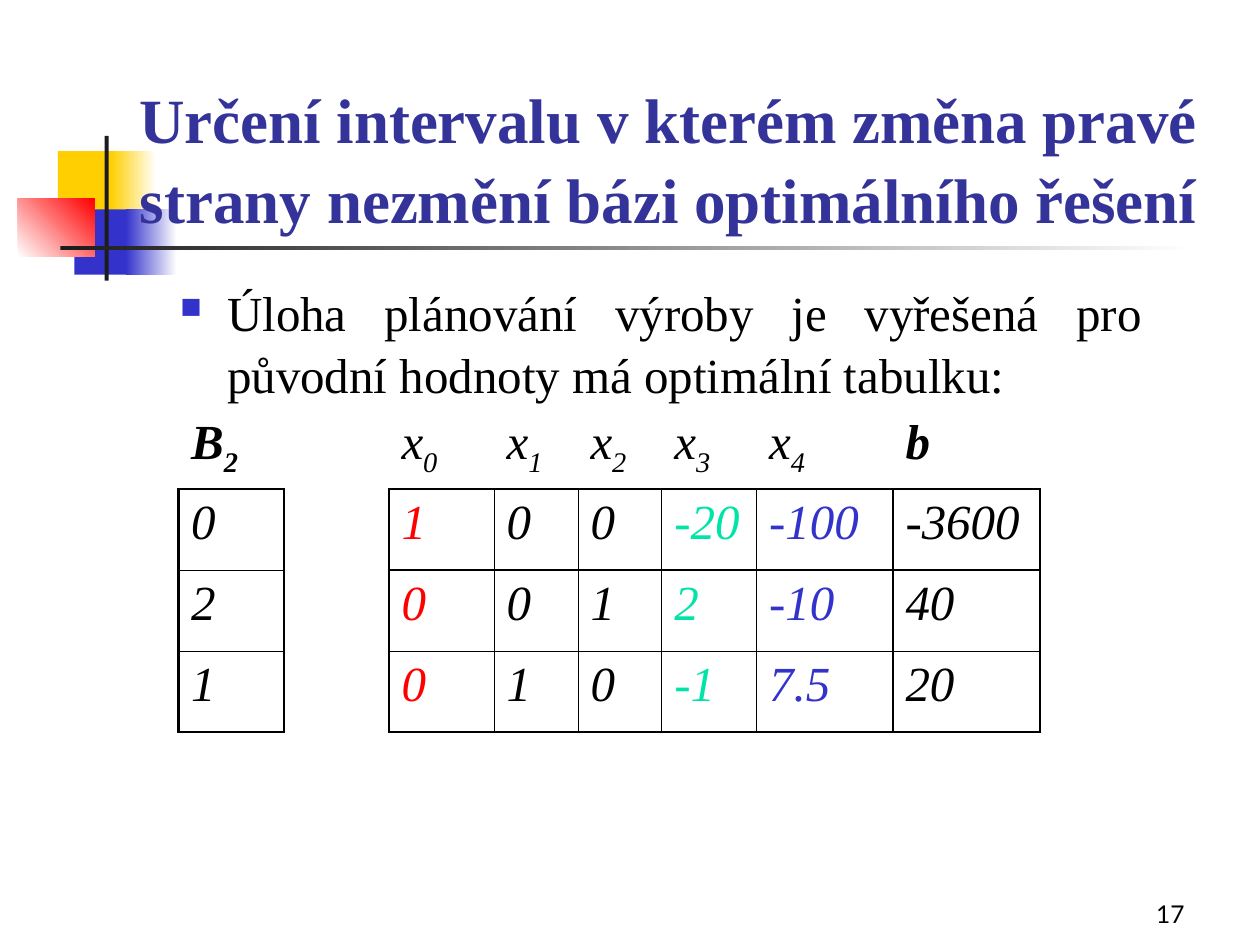
from dataclasses import dataclass

import pptx
import pptx.dml.color
import pptx.enum.shapes
import pptx.enum.text
import pptx.oxml
import pptx.oxml.ns
import pptx.util

Cm, Pt = pptx.util.Cm, pptx.util.Pt
Align, Anchor = pptx.enum.text.PP_ALIGN, pptx.enum.text.MSO_ANCHOR
NS = pptx.oxml.ns.nsdecls("a")
PLAIN = "{2D5ABB26-0587-4C30-8999-92F81FD0307C}"  # table style without lines


@dataclass(frozen=True)
class Theme:
    serif: str = "Times New Roman"
    sans: str = "Lato"
    black: str = "000000"
    white: str = "FFFFFF"
    dark: str = "1C1C1C"
    navy: str = "333399"
    blue: str = "3333CC"
    gold: str = "FFCF01"
    red: str = "FF0000"
    mint: str = "00E4A8"
    head: float = 36
    body: float = 28
    small: float = 14
    thick: float = 1.47
    thin: float = 0.45


T = Theme()


def rgb(code):
    return pptx.dml.color.RGBColor.from_string(code)


def write(frame, words, size=T.body, font=T.serif, color=T.black, bold=False,
          italic=False, align=Align.LEFT, anchor=Anchor.TOP, lines=None, bullet=None):
    """Fill a text frame; an underscore in words starts a subscript."""
    frame.word_wrap = True
    frame.vertical_anchor = anchor
    para = frame.paragraphs[0]
    para.alignment = align
    para.line_spacing = lines
    if bullet:
        props = para._p.get_or_add_pPr()
        props.set("marL", str(Cm(0.95)))
        props.set("indent", str(-Cm(0.95)))
        for part in (f'<a:buClr {NS}><a:srgbClr val="{bullet}"/></a:buClr>',
                     f'<a:buSzPct {NS} val="60000"/>',
                     f'<a:buChar {NS} char="■"/>'):
            props.append(pptx.oxml.parse_xml(part))
    for n, piece in enumerate(words.split("_")):
        run = para.add_run()
        run.text = piece
        run.font.size, run.font.name = Pt(size), font
        run.font.bold, run.font.italic = bold, italic
        run.font.color.rgb = rgb(color)
        if n:
            run.font._element.set("baseline", "-25000")


def label(slide, box, words, **form):
    shape = slide.shapes.add_textbox(*map(Cm, box))
    write(shape.text_frame, words, **form)


def block(slide, box, start, end=None, angle=0):
    """Draw a borderless rectangle, plain or fading from start to end."""
    kind = pptx.enum.shapes.MSO_SHAPE.RECTANGLE
    shape = slide.shapes.add_shape(kind, *map(Cm, box))
    shape.shadow.inherit = False
    shape.line.fill.background()
    if end is None:
        shape.fill.solid()
        shape.fill.fore_color.rgb = rgb(start)
        return
    shape.fill.gradient()
    shape.fill.gradient_angle = angle
    for stop, code, place in zip(shape.fill.gradient_stops, (start, end), (0, 1)):
        stop.color.rgb = rgb(code)
        stop.position = place


def emblem(slide, left, top):
    parts = [
        ((0.81, 0.31, 1.22, 1.32), T.gold),
        ((1.88, 0.31, 0.91, 1.32), T.gold, T.white),
        ((1.14, 1.48, 1.17, 1.32), T.blue),
        ((2.18, 1.48, 1.02, 1.32), T.blue, T.white),
        ((0, 1.27, 1.55, 1.17), T.white, T.red, 45),
        ((1.75, 0, 0.08, 2.92), T.dark),
        ((0.86, 2.21, 22.86, 0.09), T.dark, T.white),
    ]
    for (x, y, wide, high), *paint in parts:
        block(slide, (left + x, top + y, wide, high), *paint)


def upright(row, line):
    """Width of the vertical rule numbered line, beside a cell of row."""
    if row == 0:
        return None
    return T.thick if line in (0, 1, 2, 7, 8) else T.thin


def level(line, col):
    """Width of the horizontal rule numbered line, in column col."""
    if line == 0 or col == 1:
        return None
    return T.thick if line in (1, 4) or (line == 2 and col > 1) else T.thin


def edge(cell, row, col):
    props = cell._tc.get_or_add_tcPr()
    sides = {"L": upright(row, col), "R": upright(row, col + 1),
             "T": level(row, col), "B": level(row + 1, col)}
    for side, width in sides.items():
        if width:
            props.append(pptx.oxml.parse_xml(
                f'<a:ln{side} {NS} w="{int(Pt(width))}"><a:solidFill>'
                f'<a:srgbClr val="{T.black}"/></a:solidFill></a:ln{side}>'))


def tableau(slide, box):
    rows = [
        ["B_2", "", "x_0", "x_1", "x_2", "x_3", "x_4", "b"],
        ["0", "", "1", "0", "0", "-20", "-100", "-3600"],
        ["2", "", "0", "0", "1", "2", "-10", "40"],
        ["1", "", "0", "1", "0", "-1", "7.5", "20"],
    ]
    wides = [2.12, 2.12, 2.12, 1.69, 1.69, 1.91, 2.75, 2.96]
    highs = [1.6, 1.63, 1.63, 1.63]
    tints = {2: T.red, 5: T.mint, 6: T.blue}
    frame = slide.shapes.add_table(len(rows), len(wides), *map(Cm, box))
    grid = frame.table
    grid.first_row = grid.horz_banding = False
    grid._tbl.tblPr.find(pptx.oxml.ns.qn("a:tableStyleId")).text = PLAIN
    for col, wide in zip(grid.columns, wides):
        col.width = Cm(wide)
    for r, (row, high) in enumerate(zip(rows, highs)):
        grid.rows[r].height = Cm(high)
        for c, words in enumerate(row):
            cell = grid.cell(r, c)
            edge(cell, r, c)
            cell.fill.background()
            if words:
                write(cell.text_frame, words, italic=True,
                      bold=r == 0 and c in (0, 7),
                      color=tints.get(c, T.black) if r else T.black)


def main():
    deck = pptx.Presentation()
    deck.slide_width, deck.slide_height = Cm(25.4), Cm(19.05)
    slide = deck.slides.add_slide(deck.slide_layouts[6])
    emblem(slide, 0.36, 2.74)
    label(slide, (18.85, 17.58, 5.28, 1.27), "17", size=T.small, font=T.sans,
          align=Align.RIGHT, anchor=Anchor.BOTTOM)
    label(slide, (2.11, 1.7, 22.73, 3.18),
          "Určení intervalu v kterém změna pravé strany nezmění bázi optimálního řešení",
          size=T.head, color=T.navy, bold=True, align=Align.CENTER,
          anchor=Anchor.BOTTOM, lines=1.05)
    label(slide, (3.38, 5.51, 19.89, 3.38),
          "Úloha plánování výroby je vyřešená pro původní hodnoty má optimální tabulku:",
          align=Align.JUSTIFY, lines=1.05, bullet=T.blue)
    tableau(slide, (3.6, 8.26, 17.36, 6.49))
    deck.save("out.pptx")


if __name__ == "__main__":
    main()
